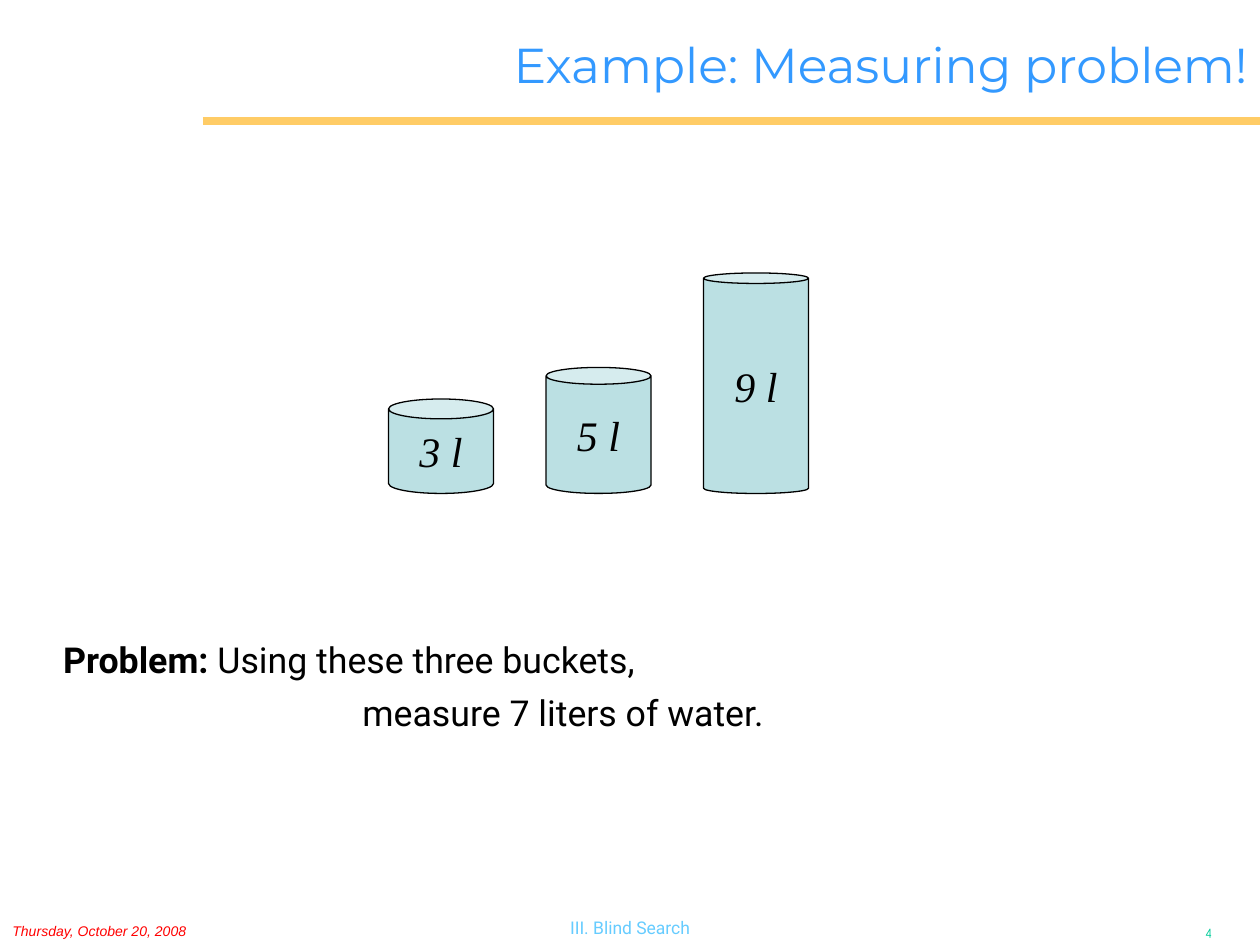
from pptx import Presentation
from pptx.dml.color import RGBColor
from pptx.enum.shapes import MSO_CONNECTOR, MSO_SHAPE
from pptx.enum.text import MSO_ANCHOR, PP_ALIGN
from pptx.oxml.xmlchemy import OxmlElement
from pptx.util import Pt

LEFT, CENTER, RIGHT = PP_ALIGN.LEFT, PP_ALIGN.CENTER, PP_ALIGN.RIGHT
TOP, MIDDLE = MSO_ANCHOR.TOP, MSO_ANCHOR.MIDDLE
CAN, STRAIGHT = MSO_SHAPE.CAN, MSO_CONNECTOR.STRAIGHT

# Type styles: face, size, colour and further font attributes
THEME = {
    "rule": "FFCC66",
    "can": "BBE0E3",
    "edge": "000000",
    "title": dict(name="Montserrat", size=28, color="3399FF"),
    "body": dict(name="Roboto", size=20.4, color="000000"),
    "strong": dict(name="Roboto", size=20.4, color="000000", bold=True),
    "label": dict(name="Times New Roman", size=24, color="000000", italic=True),
    "date": dict(name="Arial", size=8, color="FF0000", italic=True),
    "topic": dict(name="Roboto", size=10, color="66CCFF"),
    "page": dict(name="Comic Neue", size=8, color="00CC99"),
}

# Box (left, top, width, height), alignment, anchor, wrap, lines of (text, style) runs
TEXTS = [
    ((664.5, 525, 52.5, 17), CENTER, TOP, True, [[("4", "page")]]),
    ((0, 523.5, 173, 17), LEFT, TOP, True,
     [[("Thursday, October 20, 2008", "date")]]),
    ((316, 520.5, 88, 19.5), CENTER, TOP, False,
     [[("III. Blind Search", "topic")]]),
    ((139, 9.5, 581, 54.5), RIGHT, MIDDLE, True,
     [[("Example: Measuring problem!", "title")]]),
    ((29, 361, 670, 61), LEFT, TOP, True,
     [[("Problem:", "strong"), (" Using these three buckets,", "body")],
      [("measure 7 liters of water.", "body")]]),
]
SPACE, INDENT = 6, 171  # for every line after the first

# Label, height, cap ratio
BUCKETS = [("3 l", 54, 0.21), ("5 l", 72, 0.16), ("9 l", 126, 0.1)]
START, PITCH, WIDTH, FLOOR = 222, 90, 60, 282

RULE = (116, 69, 720, 69)


def rgb(code):
    return RGBColor.from_string(code)


def write(frame, lines, align, anchor, wrap):
    frame.word_wrap = wrap
    frame.vertical_anchor = anchor
    for i, runs in enumerate(lines):
        para = frame.add_paragraph() if i else frame.paragraphs[0]
        para.alignment = align
        if i:
            para.space_before = Pt(SPACE)
            para._p.get_or_add_pPr().set("marL", str(Pt(INDENT)))
        for text, style in runs:
            run = para.add_run()
            run.text = text
            for key, value in THEME[style].items():
                if key == "color":
                    run.font.color.rgb = rgb(value)
                else:
                    setattr(run.font, key, Pt(value) if key == "size" else value)


def add_rule(slide):
    rule = slide.shapes.add_connector(STRAIGHT, *map(Pt, RULE))
    rule.line.color.rgb = rgb(THEME["rule"])
    rule.line.width = Pt(4.5)
    rule._element.spPr.append(OxmlElement("a:effectLst"))


def add_bucket(slide, index, label, height, cap):
    box = (START + index * PITCH, FLOOR - height, WIDTH, height)
    can = slide.shapes.add_shape(CAN, *map(Pt, box))
    can.adjustments[0] = cap
    can.shadow.inherit = False
    can.fill.solid()
    can.fill.fore_color.rgb = rgb(THEME["can"])
    can.line.color.rgb = rgb(THEME["edge"])
    can.line.width = Pt(0.75)
    write(can.text_frame, [[(label, "label")]], CENTER, MIDDLE, False)


def main():
    deck = Presentation()
    deck.slide_width, deck.slide_height = Pt(720), Pt(540)
    slide = deck.slides.add_slide(deck.slide_layouts[6])
    add_rule(slide)
    for box, align, anchor, wrap, lines in TEXTS:
        frame = slide.shapes.add_textbox(*map(Pt, box)).text_frame
        write(frame, lines, align, anchor, wrap)
    for index, bucket in enumerate(BUCKETS):
        add_bucket(slide, index, *bucket)
    deck.save("out.pptx")


if __name__ == "__main__":
    main()
